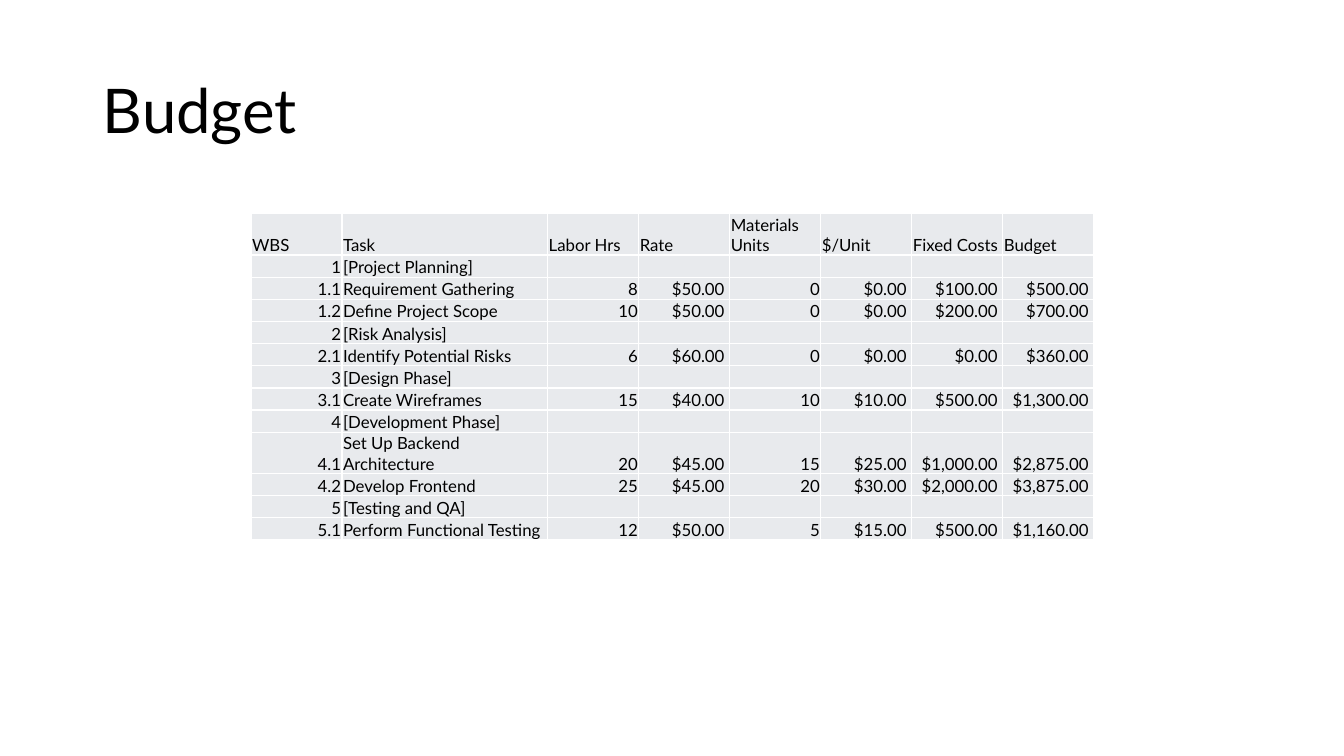
from lxml import etree
from pptx import Presentation
from pptx.dml.color import RGBColor
from pptx.enum.text import MSO_ANCHOR, PP_ALIGN
from pptx.oxml.ns import qn
from pptx.util import Inches, Pt

TITLE = "Budget"
HEADERS = ("WBS", "Task", "Labor Hrs", "Rate", "Materials Units", "$/Unit", "Fixed Costs", "Budget")
TASKS = [
    ("1", "[Project Planning]"),
    ("1.1", "Requirement Gathering", 8, 50, 0, 0, 100, 500),
    ("1.2", "Define Project Scope", 10, 50, 0, 0, 200, 700),
    ("2", "[Risk Analysis]"),
    ("2.1", "Identify Potential Risks", 6, 60, 0, 0, 0, 360),
    ("3", "[Design Phase]"),
    ("3.1", "Create Wireframes", 15, 40, 10, 10, 500, 1300),
    ("4", "[Development Phase]"),
    ("4.1", "Set Up Backend Architecture", 20, 45, 15, 25, 1000, 2875),
    ("4.2", "Develop Frontend", 25, 45, 20, 30, 2000, 3875),
    ("5", "[Testing and QA]"),
    ("5.1", "Perform Functional Testing", 12, 50, 5, 15, 500, 1160),
]
TASK_COLUMN = 1
MONEY_COLUMNS = (3, 5, 6, 7)

FONT = "Lato"
BLACK = RGBColor(0x00, 0x00, 0x00)
WHITE = RGBColor(0xFF, 0xFF, 0xFF)
PALE_GREY = RGBColor(0xE8, 0xEA, 0xED)
LEFT, RIGHT = PP_ALIGN.LEFT, PP_ALIGN.RIGHT
MIDDLE, BOTTOM = MSO_ANCHOR.MIDDLE, MSO_ANCHOR.BOTTOM

SLIDE_WIDTH, SLIDE_HEIGHT = 13.33, 7.5
TITLE_BOX = (0.92, 0.4, 11.5, 1.45)
TABLE_LEFT, TABLE_TOP, TABLE_WIDTH = 2.49, 2.12, 8.36
TASK_WIDTH, ROW_HEIGHT = 2.04, 0.22
TEXT_SIZE = Pt(12)
CELL_FORMAT = {
    "margin_left": Inches(0.01),
    "margin_right": Inches(0.01),
    "margin_top": Inches(0.01),
    "margin_bottom": 0,
    "vertical_anchor": BOTTOM,
}


def apply(target, values):
    for name, value in values.items():
        setattr(target, name, value)


def format_text(paragraph, size, alignment):
    paragraph.alignment = alignment
    for run in paragraph.runs:
        apply(run.font, {"name": FONT, "size": size})
        run.font.color.rgb = BLACK


def add_borders(cell):
    properties = cell._tc.get_or_add_tcPr()
    for position, side in enumerate(("lnL", "lnR", "lnT", "lnB")):
        line = etree.Element(qn(f"a:{side}"), w=str(Pt(1)))
        fill = etree.SubElement(line, qn("a:solidFill"))
        etree.SubElement(fill, qn("a:srgbClr"), val=str(WHITE))
        properties.insert(position, line)


def fill_cell(cell, text, alignment):
    apply(cell, CELL_FORMAT)
    cell.fill.solid()
    cell.fill.fore_color.rgb = PALE_GREY
    add_borders(cell)
    paragraph = cell.text_frame.paragraphs[0]
    if text:
        paragraph.add_run().text = text
    else:
        etree.SubElement(paragraph._p, qn("a:endParaRPr"), sz=str(int(TEXT_SIZE.pt * 100)))
    format_text(paragraph, TEXT_SIZE, alignment)


def cell_text(value, column):
    return f"${value:,.2f} " if column in MONEY_COLUMNS else str(value)


def add_title(slide):
    title = slide.shapes.title
    box = map(Inches, TITLE_BOX)
    apply(title, dict(zip(("left", "top", "width", "height"), box)))
    title.text_frame.text = TITLE
    title.text_frame.vertical_anchor = MIDDLE
    paragraph = title.text_frame.paragraphs[0]
    paragraph.line_spacing = 0.9
    format_text(paragraph, Pt(44), LEFT)


def add_budget_table(slide):
    row_count, column_count = len(TASKS) + 1, len(HEADERS)
    frame = slide.shapes.add_table(
        row_count, column_count, Inches(TABLE_LEFT), Inches(TABLE_TOP),
        Inches(TABLE_WIDTH), Inches(ROW_HEIGHT * row_count))
    table = frame.table
    apply(table, {"first_row": False, "horz_banding": False})
    other_width = (TABLE_WIDTH - TASK_WIDTH) / (column_count - 1)
    for index, column in enumerate(table.columns):
        column.width = Inches(TASK_WIDTH if index == TASK_COLUMN else other_width)
    for column, header in enumerate(HEADERS):
        fill_cell(table.cell(0, column), header, LEFT)
    for row, task in enumerate(TASKS, start=1):
        for column in range(column_count):
            text = cell_text(task[column], column) if column < len(task) else ""
            alignment = LEFT if column == TASK_COLUMN else RIGHT
            fill_cell(table.cell(row, column), text, alignment)


def main():
    presentation = Presentation()
    presentation.slide_width = Inches(SLIDE_WIDTH)
    presentation.slide_height = Inches(SLIDE_HEIGHT)
    slide = presentation.slides.add_slide(presentation.slide_layouts.get_by_name("Title Only"))
    add_title(slide)
    add_budget_table(slide)
    presentation.save("out.pptx")


if __name__ == "__main__":
    main()
